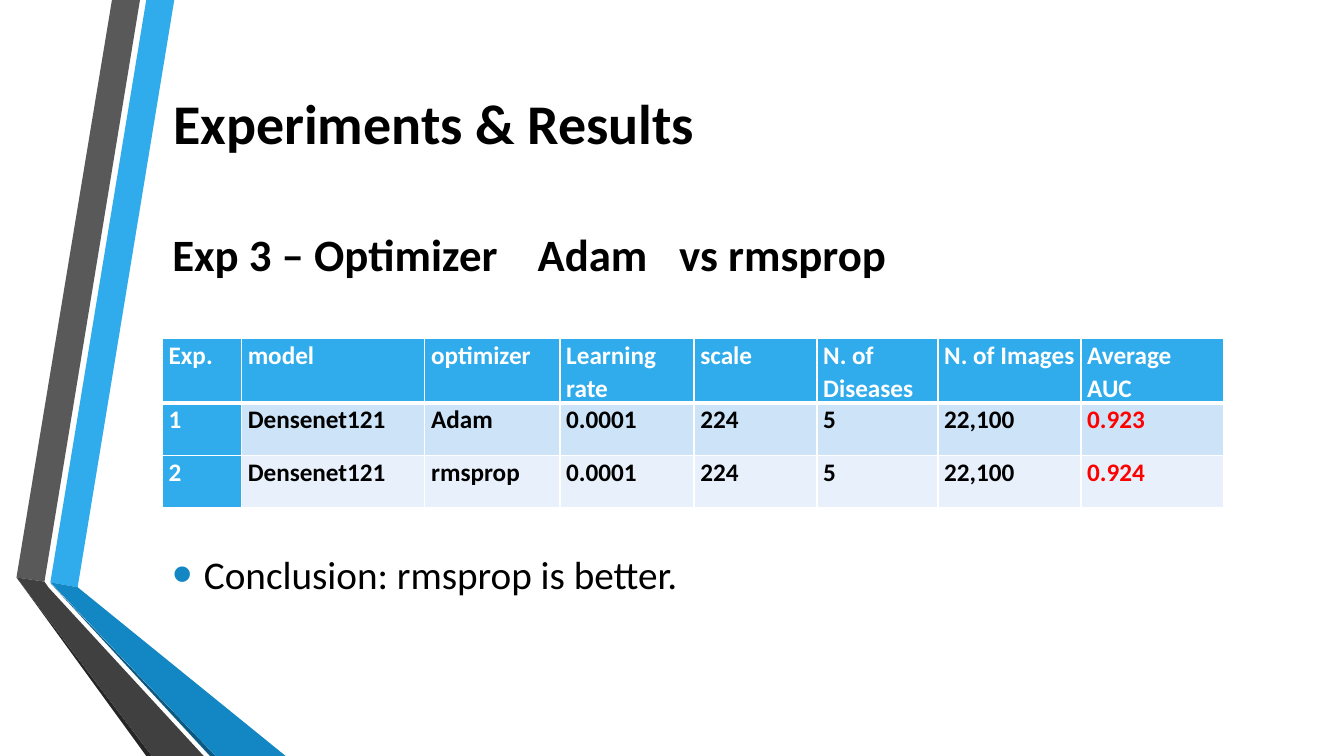
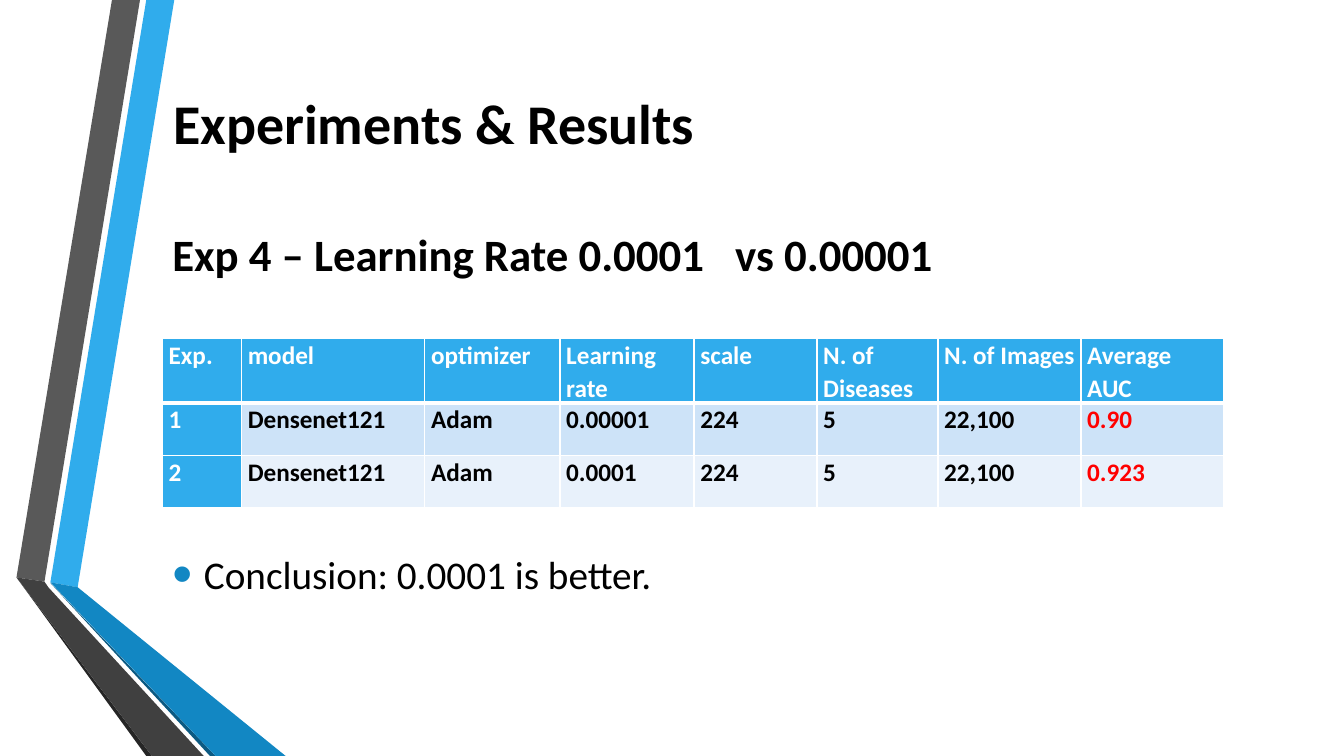
from lxml.etree import SubElement
from pptx import Presentation
from pptx.dml.color import RGBColor
from pptx.enum.text import MSO_ANCHOR, MSO_AUTO_SIZE, PP_ALIGN
from pptx.oxml import parse_xml
from pptx.oxml.ns import nsdecls, qn
from pptx.util import Pt

# Shared style
FONT = "Calibri"
BLACK = RGBColor(0x00, 0x00, 0x00)
WHITE = RGBColor(0xFF, 0xFF, 0xFF)
RED = RGBColor(0xFF, 0x00, 0x00)
BLUE = RGBColor(0x30, 0xAC, 0xEC)
DEEP_BLUE = RGBColor(0x12, 0x87, 0xC3)
NAVY = RGBColor(0x0C, 0x5A, 0x82)
GREY = RGBColor(0x59, 0x59, 0x59)
DARK_GREY = RGBColor(0x40, 0x40, 0x40)
CHARCOAL = RGBColor(0x26, 0x26, 0x26)
ROW_FILLS = [RGBColor(0xCD, 0xE3, 0xF8), RGBColor(0xE8, 0xF1, 0xFB)]

# Folded ribbons at the left edge: colour and corners in points
RIBBONS = [
    (BLUE, [(36, 416), (55.5, 419.5), (124.5, 0), (104.5, 0)]),
    (GREY, [(100, 0), (80, 0), (11.8, 412.5), (31.8, 415.5)]),
    (CHARCOAL, [(11.8, 412.5), (104.5, 540), (108.5, 540)]),
    (NAVY, [(36, 416.5), (150, 540), (154, 540)]),
    (DEEP_BLUE, [(36, 416), (154, 540), (204, 540), (55.5, 419.5)]),
    (DARK_GREY, [(145.5, 540), (34.5, 419.5), (31.8, 415.5), (11.8, 412.5),
                 (108.5, 540)]),
]

# Boxes in points: left, top, width, height
TITLE_BOX = (116.5, 54, 789, 67)
SUBTITLE_BOX = (116, 147.5, 789, 67)
CONCLUSION_BOX = (116, 389.5, 750, 41)
TABLE_LEFT, TABLE_TOP = 116, 241.5
COLUMN_WIDTHS = [56.5, 131, 96.5, 95.8, 87.8, 86.4, 102.2, 102.2]
ROW_HEIGHTS = [46, 37.5, 37.5]

# Content
TITLE = "Experiments & Results"
HEADER = ["Exp.", "model", "optimizer", "Learning rate", "scale",
          "N. of Diseases", "N. of Images", "Average AUC"]
EXPERIMENTS = [
    {
        "subtitle": "Exp 3 – Optimizer\tAdam\tvs rmsprop",
        "tabs": [261, 362],
        "rows": [
            ["1", "Densenet121", "Adam", "0.0001", "224", "5", "22,100", "0.923"],
            ["2", "Densenet121", "rmsprop", "0.0001", "224", "5", "22,100", "0.924"],
        ],
        "conclusion": "Conclusion: rmsprop is better.",
    },
    {
        "subtitle": "Exp 4 – Learning Rate 0.0001\tvs 0.00001",
        "tabs": [402],
        "rows": [
            ["1", "Densenet121", "Adam", "0.00001", "224", "5", "22,100", "0.90"],
            ["2", "Densenet121", "Adam", "0.0001", "224", "5", "22,100", "0.923"],
        ],
        "conclusion": "Conclusion: 0.0001 is better.",
    },
]


def place(shape, box):
    shape.left, shape.top, shape.width, shape.height = map(Pt, box)


def add_text(paragraph, text, size, color=BLACK, bold=True):
    run = paragraph.add_run()
    run.text = text
    run.font.name = FONT
    run.font.size = Pt(size)
    run.font.bold = bold
    run.font.color.rgb = color


def write_heading(shape, text, size):
    frame = shape.text_frame
    frame.word_wrap = True
    frame.auto_size = MSO_AUTO_SIZE.NONE
    frame.vertical_anchor = MSO_ANCHOR.MIDDLE
    paragraph = frame.paragraphs[0]
    paragraph.alignment = PP_ALIGN.LEFT
    add_text(paragraph, text, size)
    return paragraph


def add_tab_stops(paragraph, positions):
    tab_list = SubElement(paragraph._p.get_or_add_pPr(), qn("a:tabLst"))
    for position in positions:
        SubElement(tab_list, qn("a:tab"), pos=str(Pt(position)), algn="l")


def add_ribbons(slide, layout):
    """Draw the ribbons and hand them to the layout, behind its placeholders."""
    for index, (color, corners) in enumerate(RIBBONS):
        points = [(Pt(x), Pt(y)) for x, y in corners]
        builder = slide.shapes.build_freeform(*points[0], scale=1.0)
        builder.add_line_segments(points[1:], close=True)
        ribbon = builder.convert_to_shape()
        ribbon.shadow.inherit = False
        ribbon.fill.solid()
        ribbon.fill.fore_color.rgb = color
        ribbon.line.fill.background()
        ribbon.element.xpath(".//p:cNvPr")[0].set("id", str(100 + index))
        layout.shapes.element.insert(2 + index, ribbon.element)


def set_borders(cell, top, bottom):
    properties = cell._tc.get_or_add_tcPr()
    widths = [("lnL", 1), ("lnR", 1), ("lnT", top), ("lnB", bottom)]
    for index, (side, width) in enumerate(widths):
        properties.insert(index, parse_xml(
            f'<a:{side} {nsdecls("a")} w="{Pt(width)}"><a:solidFill>'
            f'<a:srgbClr val="{WHITE}"/></a:solidFill></a:{side}>'))


def add_results_table(slide, rows):
    table = slide.shapes.add_table(
        len(rows) + 1, len(HEADER), Pt(TABLE_LEFT), Pt(TABLE_TOP),
        Pt(sum(COLUMN_WIDTHS)), Pt(sum(ROW_HEIGHTS))).table
    for column, width in zip(table.columns, COLUMN_WIDTHS):
        column.width = Pt(width)
    for row, height in zip(table.rows, ROW_HEIGHTS):
        row.height = Pt(height)

    last_column = len(HEADER) - 1
    for row_index, values in enumerate([HEADER] + rows):
        for column_index, value in enumerate(values):
            cell = table.cell(row_index, column_index)
            cell.margin_left = cell.margin_right = Pt(4.5)
            cell.margin_top = cell.margin_bottom = 0
            if row_index == 0 or column_index == 0:
                fill, color = BLUE, WHITE
            else:
                fill = ROW_FILLS[(row_index - 1) % len(ROW_FILLS)]
                color = RED if column_index == last_column else BLACK
            cell.fill.solid()
            cell.fill.fore_color.rgb = fill
            set_borders(cell, 3 if row_index == 1 else 1,
                        3 if row_index == 0 else 1)
            paragraph = cell.text_frame.paragraphs[0]
            paragraph.line_spacing = 1.07
            add_text(paragraph, value, 18, color)


def write_conclusion(shape, text):
    place(shape, CONCLUSION_BOX)
    frame = shape.text_frame
    frame.word_wrap = True
    frame.auto_size = MSO_AUTO_SIZE.SHAPE_TO_FIT_TEXT
    paragraph = frame.paragraphs[0]
    properties = paragraph._p.get_or_add_pPr()
    properties.set("marL", str(Pt(22.5)))
    properties.set("indent", str(-Pt(22.5)))
    bullet_color = SubElement(properties, qn("a:buClr"))
    SubElement(bullet_color, qn("a:srgbClr"), val=str(DEEP_BLUE))
    SubElement(properties, qn("a:buSzPct"), val="145000")
    SubElement(properties, qn("a:buFont"), typeface="Arial")
    SubElement(properties, qn("a:buChar"), char="•")
    paragraph.space_before = Pt(0)
    paragraph.space_after = Pt(6)
    add_text(paragraph, text, 28, bold=False)


def main():
    presentation = Presentation()
    presentation.slide_width, presentation.slide_height = Pt(960), Pt(540)
    layout = presentation.slide_layouts[1]

    for index, experiment in enumerate(EXPERIMENTS):
        slide = presentation.slides.add_slide(layout)
        if index == 0:
            add_ribbons(slide, layout)

        # Title and subtitle
        place(slide.shapes.title, TITLE_BOX)
        write_heading(slide.shapes.title, TITLE, 40)
        subtitle = slide.shapes.add_textbox(*map(Pt, SUBTITLE_BOX))
        paragraph = write_heading(subtitle, experiment["subtitle"], 32)
        add_tab_stops(paragraph, experiment["tabs"])

        # Results and conclusion
        add_results_table(slide, experiment["rows"])
        write_conclusion(slide.placeholders[1], experiment["conclusion"])

    presentation.save("out.pptx")


if __name__ == "__main__":
    main()
